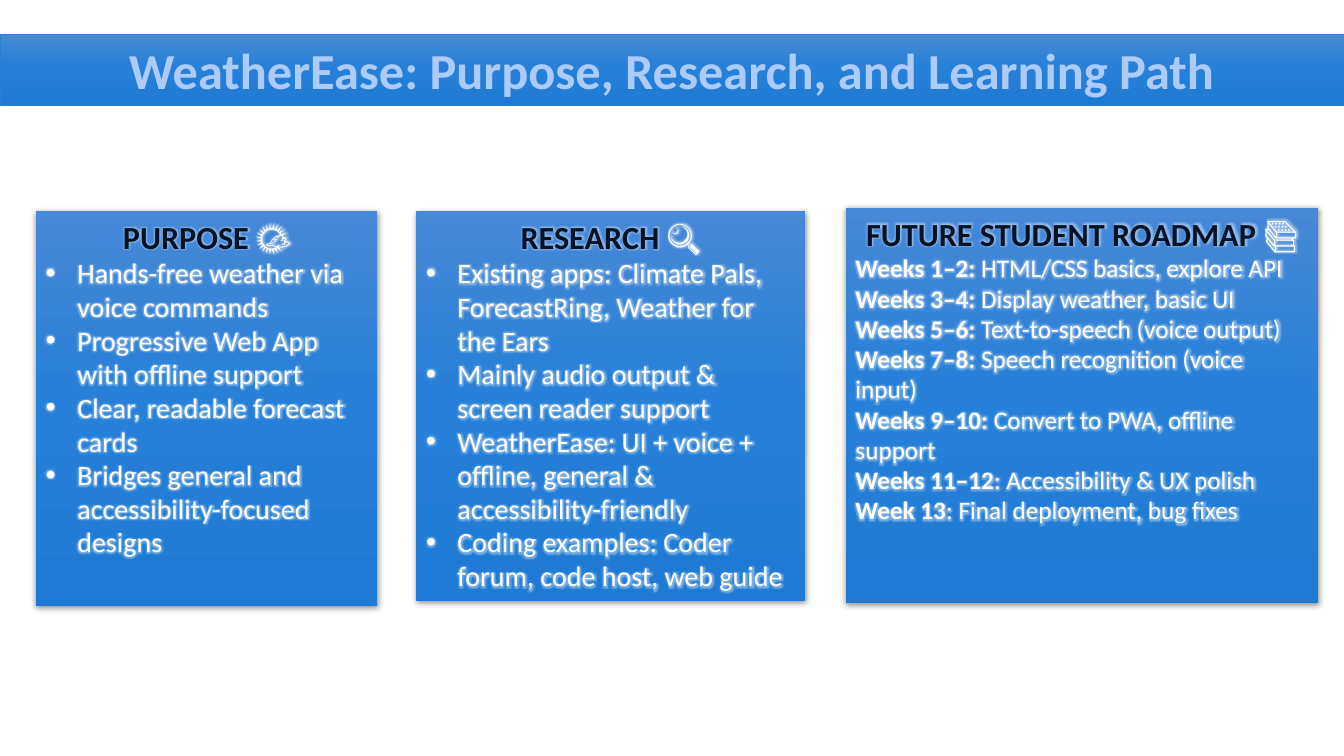
import copy

import lxml.etree
import pptx
import pptx.dml.color
import pptx.enum.shapes
import pptx.enum.text
import pptx.oxml
import pptx.oxml.ns
import pptx.util

Cm = pptx.util.Cm
Pt = pptx.util.Pt
RGBColor = pptx.dml.color.RGBColor
PP_ALIGN = pptx.enum.text.PP_ALIGN
MSO_ANCHOR = pptx.enum.text.MSO_ANCHOR
qn = pptx.oxml.ns.qn

GRADIENT = [
    (0, RGBColor(0x47, 0x88, 0xD7)),
    (0.5, RGBColor(0x26, 0x7F, 0xD8)),
    (1, RGBColor(0x1F, 0x7A, 0xD5)),
]
EDGE = RGBColor(0x29, 0x7F, 0xD5)
PALE = RGBColor(0xAC, 0xCB, 0xF9)
NAVY = RGBColor(0x03, 0x12, 0x27)
WHITE = RGBColor(0xFF, 0xFF, 0xFF)
BLACK = RGBColor(0x00, 0x00, 0x00)
FONT = "Calibri"

PURPOSE = [
    "Hands-free weather via voice commands",
    "Progressive Web App with offline support",
    "Clear, readable forecast cards",
    "Bridges general and accessibility-focused designs",
]
RESEARCH = [
    "Existing apps: Climate Pals, ForecastRing, Weather for the Ears",
    "Mainly audio output & screen reader support",
    "WeatherEase: UI + voice + offline, general & accessibility-friendly",
    "Coding examples: Coder forum, code host, web guide",
]
ROADMAP = [
    ("Weeks 1–2: ", "HTML/CSS basics, explore API"),
    ("Weeks 3–4: ", "Display weather, basic UI"),
    ("Weeks 5–6: ", "Text-to-speech (voice output)"),
    ("Weeks 7–8: ", "Speech recognition (voice input)"),
    ("Weeks 9–10: ", "Convert to PWA, offline support"),
    ("Weeks 11–12", ": Accessibility & UX polish"),
    ("Week 13", ": Final deployment, bug fixes"),
]


def effect_list(tag, color, alpha, **attrs):
    effects = pptx.oxml.parse_xml(
        f"<a:effectLst {pptx.oxml.ns.nsdecls('a')}><a:{tag}>"
        f'<a:srgbClr val="{color}"><a:alpha val="{alpha * 1000}"/></a:srgbClr>'
        f"</a:{tag}></a:effectLst>"
    )
    for name, value in attrs.items():
        effects[0].set(name, str(value))
    return effects


def add_gradient_box(s, left, top, width, height):
    sp = s.shapes.add_shape(
        pptx.enum.shapes.MSO_SHAPE.RECTANGLE, Cm(left), Cm(top), Cm(width), Cm(height)
    )
    sp.shadow.inherit = False
    sp.fill.gradient()
    sp.fill.gradient_angle = 270
    stop_list = sp.element.spPr.find(qn("a:gradFill")).find(qn("a:gsLst"))
    stop_list.append(copy.deepcopy(stop_list[-1]))
    for stop, (position, color) in zip(sp.fill.gradient_stops, GRADIENT):
        stop.position = position
        stop.color.rgb = color
    sp.line.fill.background()
    sp.text_frame.word_wrap = True
    return sp


def add_run(p, text, size, color=WHITE, bold=False, glow=True):
    r = p.add_run()
    r.text = text
    r.font.size = Pt(size)
    r.font.bold = bold
    r.font.color.rgb = color
    r.font.name = FONT
    if glow:
        fill = r.font.fill._xPr.find(qn("a:solidFill"))
        fill.addnext(effect_list("glow", WHITE, 40, rad=Pt(5)))


def add_bullet(p):
    pPr = p._p.get_or_add_pPr()
    pPr.set("marL", str(Cm(0.79)))
    pPr.set("indent", str(Cm(-0.79)))
    font = lxml.etree.SubElement(pPr, qn("a:buFont"))
    font.set("typeface", "Arial")
    lxml.etree.SubElement(pPr, qn("a:buChar")).set("char", "•")


def add_banner(s, left, top, width, height, title):
    sp = add_gradient_box(s, left, top, width, height)
    sp.line.color.rgb = EDGE
    sp.line.width = Pt(0.5)
    sp.text_frame.vertical_anchor = MSO_ANCHOR.MIDDLE
    p = sp.text_frame.paragraphs[0]
    p.alignment = PP_ALIGN.CENTER
    add_run(p, title, 36, PALE, bold=True, glow=False)


def add_card(s, left, top, width, height, heading, icon):
    sp = add_gradient_box(s, left, top, width, height)
    spPr = sp.element.spPr
    spPr.replace(
        spPr.find(qn("a:effectLst")),
        effect_list("outerShdw", BLACK, 45, blurRad=Pt(4.4), dist=Pt(1.2),
                    dir=5400000, rotWithShape=0),
    )
    tf = sp.text_frame
    tf.vertical_anchor = MSO_ANCHOR.TOP
    p = tf.paragraphs[0]
    p.alignment = PP_ALIGN.CENTER
    add_run(p, heading + " ", 23, NAVY, bold=True)
    add_run(p, icon, 24)
    return tf


def add_bullet_card(s, box, heading, icon, items):
    tf = add_card(s, *box, heading, icon)
    for item in items:
        p = tf.add_paragraph()
        add_bullet(p)
        p.alignment = PP_ALIGN.LEFT
        add_run(p, item, 20)


def add_roadmap_card(s, box, heading, icon, steps):
    tf = add_card(s, *box, heading, icon)
    for weeks, task in steps:
        p = tf.add_paragraph()
        p.alignment = PP_ALIGN.LEFT
        add_run(p, weeks, 18, bold=True)
        add_run(p, task, 18)


def main():
    prs = pptx.Presentation()
    prs.slide_width = Cm(33.87)
    prs.slide_height = Cm(19.05)
    s = prs.slides.add_slide(prs.slide_layouts[6])
    add_banner(s, 0, 0.86, 33.87, 1.8,
               "WeatherEase: Purpose, Research, and Learning Path")
    add_bullet_card(s, (0.91, 5.31, 8.59, 9.96), "PURPOSE", "🌤️", PURPOSE)
    add_bullet_card(s, (10.49, 5.31, 9.8, 9.83), "RESEARCH", "🔍", RESEARCH)
    add_roadmap_card(s, (21.31, 5.23, 11.91, 9.96),
                     "FUTURE STUDENT ROADMAP", "📚", ROADMAP)
    prs.save("out.pptx")


if __name__ == "__main__":
    main()
